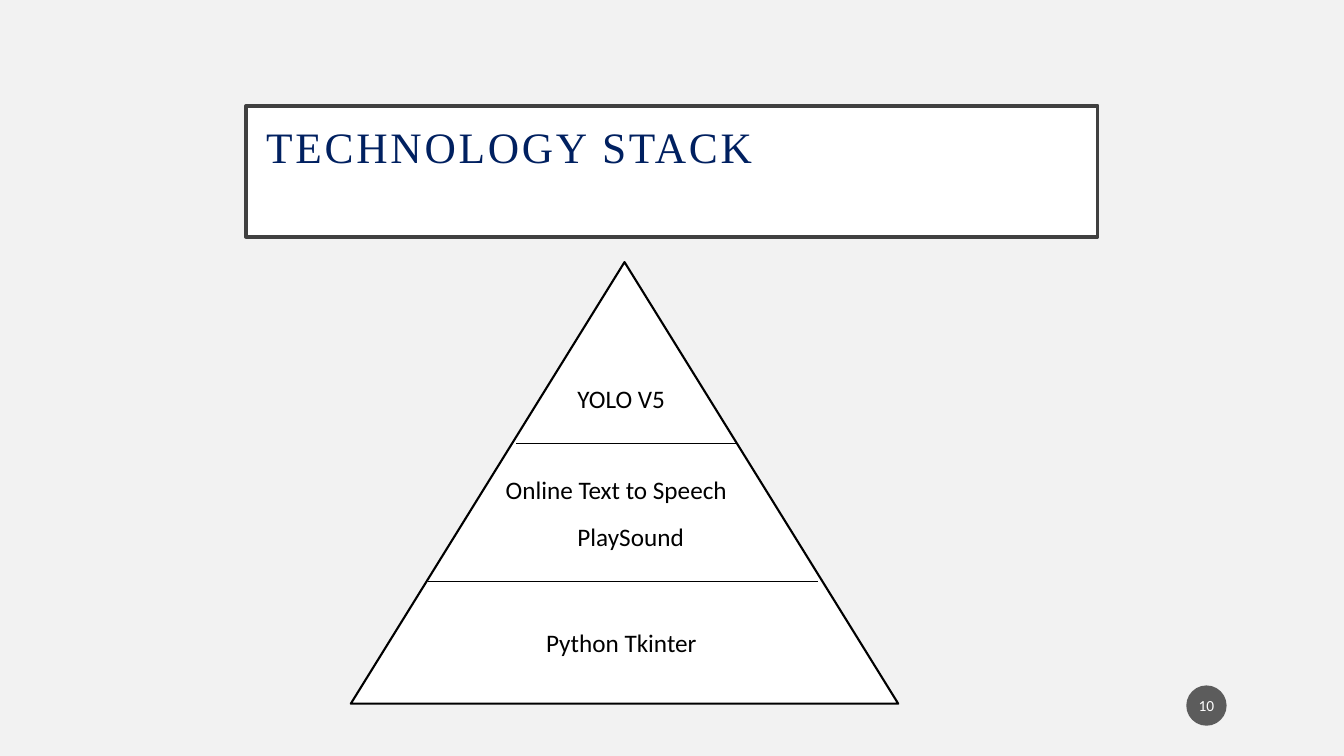
"""Build the technology stack pyramid slide."""
from typing import NamedTuple

from lxml import etree
from pptx import Presentation
from pptx.dml.color import RGBColor
from pptx.enum.shapes import MSO_CONNECTOR, MSO_SHAPE
from pptx.enum.text import MSO_ANCHOR, MSO_AUTO_SIZE, PP_ALIGN
from pptx.oxml.ns import qn
from pptx.util import Pt

LINE = MSO_CONNECTOR.STRAIGHT
PEAK, DISC = MSO_SHAPE.ISOSCELES_TRIANGLE, MSO_SHAPE.OVAL
TOP, MID = MSO_ANCHOR.TOP, MSO_ANCHOR.MIDDLE
FIXED, GROW = MSO_AUTO_SIZE.NONE, MSO_AUTO_SIZE.SHAPE_TO_FIT_TEXT
LEFT, CENTER = PP_ALIGN.LEFT, PP_ALIGN.CENTER

BLACK = RGBColor(0x00, 0x00, 0x00)
WHITE = RGBColor(0xFF, 0xFF, 0xFF)
PAPER = RGBColor(0xF2, 0xF2, 0xF2)
FRAME = RGBColor(0x40, 0x40, 0x40)
NAVY = RGBColor(0x00, 0x20, 0x60)
DARK = RGBColor(0x1D, 0x1D, 0x1D)


class Box(NamedTuple):
    left: float
    top: float
    width: float
    height: float


class Label(NamedTuple):
    text: str
    box: Box


class Rule(NamedTuple):
    left: float
    right: float
    y: float


LABELS = [
    Label("YOLO V5", Box(405.4, 270, 100.8, 29)),
    Label("Online Text to Speech", Box(354.2, 335.5, 203.8, 29)),
    Label("PlaySound", Box(405.4, 368.6, 174.2, 29)),
    Label("Python Tkinter", Box(383, 444.2, 259.2, 29)),
]
RULES = [Rule(306, 584.6, 415.4), Rule(368.6, 527, 316.8)]


def points(box: Box) -> list:
    return [Pt(side) for side in box]


def write(frame, text: str, size: float, color: RGBColor,
          face: str = "Calibri", align=LEFT):
    line = frame.paragraphs[0]
    line.alignment = align
    run = line.add_run()
    run.text = text
    run.font.size = Pt(size)
    run.font.name = face
    run.font.color.rgb = color
    return run


def paint(shape, fill: RGBColor, edge: RGBColor | None = None,
          width: float = 0) -> None:
    shape.fill.solid()
    shape.fill.fore_color.rgb = fill
    if edge is None:
        shape.line.fill.background()
    else:
        shape.line.color.rgb = edge
        shape.line.width = Pt(width)


def pad(frame, side: float, end: float) -> None:
    frame.margin_left = frame.margin_right = Pt(side)
    frame.margin_top = frame.margin_bottom = Pt(end)


def add_title(slide) -> None:
    title = slide.shapes.title
    title.left, title.top, title.width, title.height = points(
        Box(175.7, 75.6, 608.4, 93.6))
    paint(title, WHITE, FRAME, 2.5)
    frame = title.text_frame
    frame.word_wrap = True
    frame.auto_size = FIXED
    frame.vertical_anchor = TOP
    pad(frame, 14.4, 14.4)
    run = write(frame, "TECHNOLOGY STACK", 31, NAVY, "Times New Roman")
    run.font._element.set("spc", "200")
    frame.paragraphs[0].line_spacing = 0.9


def add_shape(slide, kind, box: Box):
    shape = slide.shapes.add_shape(kind, *points(box))
    shape.shadow.inherit = False
    return shape


def add_badge(slide) -> None:
    badge = add_shape(slide, DISC, Box(847.4, 489.6, 28.8, 28.8))
    paint(badge, DARK)
    tint = badge.element.spPr.find(".//" + qn("a:srgbClr"))
    etree.SubElement(tint, qn("a:alpha"), val="70000")
    frame = badge.text_frame
    frame.word_wrap = True
    frame.vertical_anchor = MID
    pad(frame, 1.4, 3.6)
    write(frame, "10", 11, WHITE, align=CENTER)


def add_rule(slide, rule: Rule) -> None:
    line = slide.shapes.add_connector(
        LINE, Pt(rule.left), Pt(rule.y), Pt(rule.right), Pt(rule.y))
    line.line.color.rgb = BLACK
    line.line.width = Pt(1)
    etree.SubElement(line.element.spPr, qn("a:effectLst"))


def add_label(slide, label: Label) -> None:
    frame = slide.shapes.add_textbox(*points(label.box)).text_frame
    frame.word_wrap = True
    frame.auto_size = GROW
    write(frame, label.text, 18, BLACK)


def main() -> None:
    deck = Presentation()
    deck.slide_width, deck.slide_height = Pt(960), Pt(540)
    slide = deck.slides.add_slide(deck.slide_layouts[5])
    slide.background.fill.solid()
    slide.background.fill.fore_color.rgb = PAPER
    add_title(slide)
    add_badge(slide)
    peak = add_shape(slide, PEAK, Box(250.6, 187.2, 391, 315.4))
    paint(peak, WHITE, BLACK, 1.5)
    for rule in RULES:
        add_rule(slide, rule)
    for label in LABELS:
        add_label(slide, label)
    deck.save("out.pptx")


if __name__ == "__main__":
    main()
